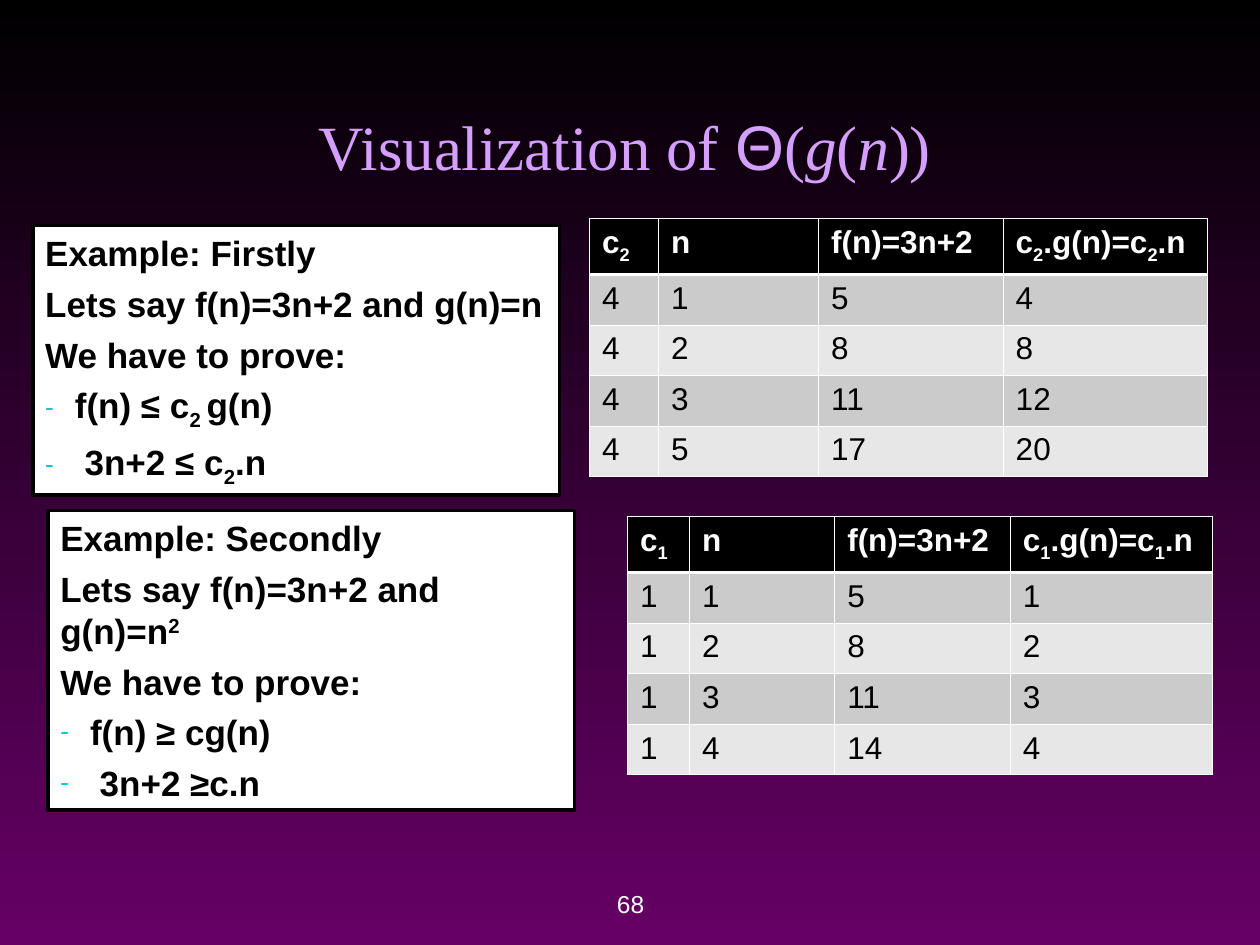
from lxml import etree
from pptx import Presentation
from pptx.dml.color import RGBColor
from pptx.enum.shapes import MSO_SHAPE
from pptx.enum.text import MSO_ANCHOR, PP_ALIGN
from pptx.oxml.ns import qn
from pptx.util import Pt

RECT = MSO_SHAPE.RECTANGLE
TOP, MID, LOW = MSO_ANCHOR.TOP, MSO_ANCHOR.MIDDLE, MSO_ANCHOR.BOTTOM
LEFT, CENTER = PP_ALIGN.LEFT, PP_ALIGN.CENTER

BLACK = RGBColor(0, 0, 0)
WHITE = RGBColor(255, 255, 255)
PURPLE = RGBColor(0x66, 0, 0x66)
LILAC = RGBColor(0xD4, 0x9F, 0xFF)
TEAL = RGBColor(0, 0xCC, 0xCC)
DARK = RGBColor(0xCB, 0xCB, 0xCB)
LIGHT = RGBColor(0xE7, 0xE7, 0xE7)
SANS, SERIF = "Arial", "Times New Roman"
SHIFT = {"_": "-25000", "^": "30000"}

TITLE = "Visualization of |@Θ|(|*g|(|*n|))"
NUMBER = "68"
PROOFS = [
    ((18.72, 128.88, 300.96, 154.08),
     ["Example: Firstly", "Lets say f(n)=3n+2 and g(n)=n", "We have to prove:"],
     ["f(n) ≤ c|_2 |g(n)", " 3n+2 ≤ c|_2|.n"]),
    ((27.36, 291.6, 300.96, 171.36),
     ["Example: Secondly", "Lets say f(n)=3n+2 and g(n)=n|^2", "We have to prove:"],
     ["f(n) ≥ cg(n)", " 3n+2 ≥c.n"]),
]
TABLES = [
    ((358.6, 295.2), (35.4, 83, 100.4, 115.6),
     [("c|_1", "n", "f(n)=3n+2", "c|_1|.g(n)=c|_1|.n"),
      (1, 1, 5, 1), (1, 2, 8, 2), (1, 3, 11, 3), (1, 4, 14, 4)]),
    ((336.9, 124.8), (39.4, 91.5, 105.5, 116.8),
     [("c|_2", "n", "f(n)=3n+2", "c|_2|.g(n)=c|_2|.n"),
      (4, 1, 5, 4), (4, 2, 8, 8), (4, 3, 11, 12), (4, 5, 17, 20)]),
]
HEAD, ROW = 32, 28.9
THIN, THICK = 0.45, 1.47


def write(para, text, size, color, face=SANS, bold=False):
    for part in text.split("|"):
        mark = part[0] if part[0] in "_^*@" else ""
        run = para.add_run()
        run.text = part[len(mark):]
        font = run.font
        font.size, font.bold, font.italic = Pt(size), bold, mark == "*"
        font.name = SANS if mark == "@" else face
        font.color.rgb = color
        if mark in SHIFT:
            run._r.get_or_add_rPr().set("baseline", SHIFT[mark])


def label(slide, box, text, size, color, face, anchor, wrap):
    frame = slide.shapes.add_textbox(*map(Pt, box)).text_frame
    frame.word_wrap, frame.vertical_anchor = wrap, anchor
    para = frame.paragraphs[0]
    para.alignment = CENTER
    write(para, text, size, color, face)


def dash(para):
    props = para._p.get_or_add_pPr()
    props.set("marL", str(Pt(17)))
    props.set("indent", str(-Pt(17)))
    tint = etree.SubElement(props, qn("a:buClr"))
    etree.SubElement(tint, qn("a:srgbClr"), val=str(TEAL))
    etree.SubElement(props, qn("a:buSzPct"), val="75000")
    etree.SubElement(props, qn("a:buFont"), typeface=SANS)
    etree.SubElement(props, qn("a:buChar"), char="-")


def proof(slide, box, lines, steps):
    shape = slide.shapes.add_shape(RECT, *map(Pt, box))
    shape.shadow.inherit = False
    shape.fill.solid()
    shape.fill.fore_color.rgb = WHITE
    shape.line.color.rgb = BLACK
    shape.line.width = Pt(2)
    frame = shape.text_frame
    frame.word_wrap, frame.vertical_anchor = True, TOP
    for i, text in enumerate(lines + steps):
        para = frame.add_paragraph() if i else frame.paragraphs[0]
        if i >= len(lines):
            dash(para)
        para.alignment = LEFT
        if i:
            para.space_before = Pt(5)
        write(para, text, 20, BLACK, bold=True)


def edge(cell, side, width):
    props = cell._tc.get_or_add_tcPr()
    line = etree.SubElement(props, qn("a:ln" + side), w=str(Pt(width)))
    fill = etree.SubElement(line, qn("a:solidFill"))
    etree.SubElement(fill, qn("a:srgbClr"), val=str(WHITE))


def grid(slide, spot, widths, rows):
    high = HEAD + ROW * (len(rows) - 1)
    box = (*spot, sum(widths), high)
    table = slide.shapes.add_table(len(rows), len(widths), *map(Pt, box)).table
    for col, width in zip(table.columns, widths):
        col.width = Pt(width)
    for r, row in enumerate(rows):
        table.rows[r].height = Pt(ROW if r else HEAD)
        fill = (DARK if r % 2 else LIGHT) if r else BLACK
        for c, value in enumerate(row):
            cell = table.cell(r, c)
            edge(cell, "L", THIN)
            edge(cell, "R", THIN)
            edge(cell, "T", THICK if r == 1 else THIN)
            edge(cell, "B", THIN if r else THICK)
            cell.fill.solid()
            cell.fill.fore_color.rgb = fill
            write(cell.text_frame.paragraphs[0], str(value), 18,
                  BLACK if r else WHITE, bold=not r)


def main():
    deck = Presentation()
    deck.slide_width, deck.slide_height = Pt(720), Pt(540)
    slide = deck.slides.add_slide(deck.slide_layouts[6])
    back = slide.background.fill
    back.gradient()
    back.gradient_angle = 270
    for stop, color, place in zip(back.gradient_stops, (BLACK, PURPLE), (0, 1)):
        stop.color.rgb = color
        stop.position = place
    label(slide, (246.24, 504, 228.24, 25.2), NUMBER, 14, WHITE, SANS, MID, False)
    label(slide, (48.24, 18, 617.76, 90), TITLE, 36, LILAC, SERIF, LOW, True)
    for item in TABLES:
        grid(slide, *item)
    for item in PROOFS:
        proof(slide, *item)
    deck.save("out.pptx")


if __name__ == "__main__":
    main()
